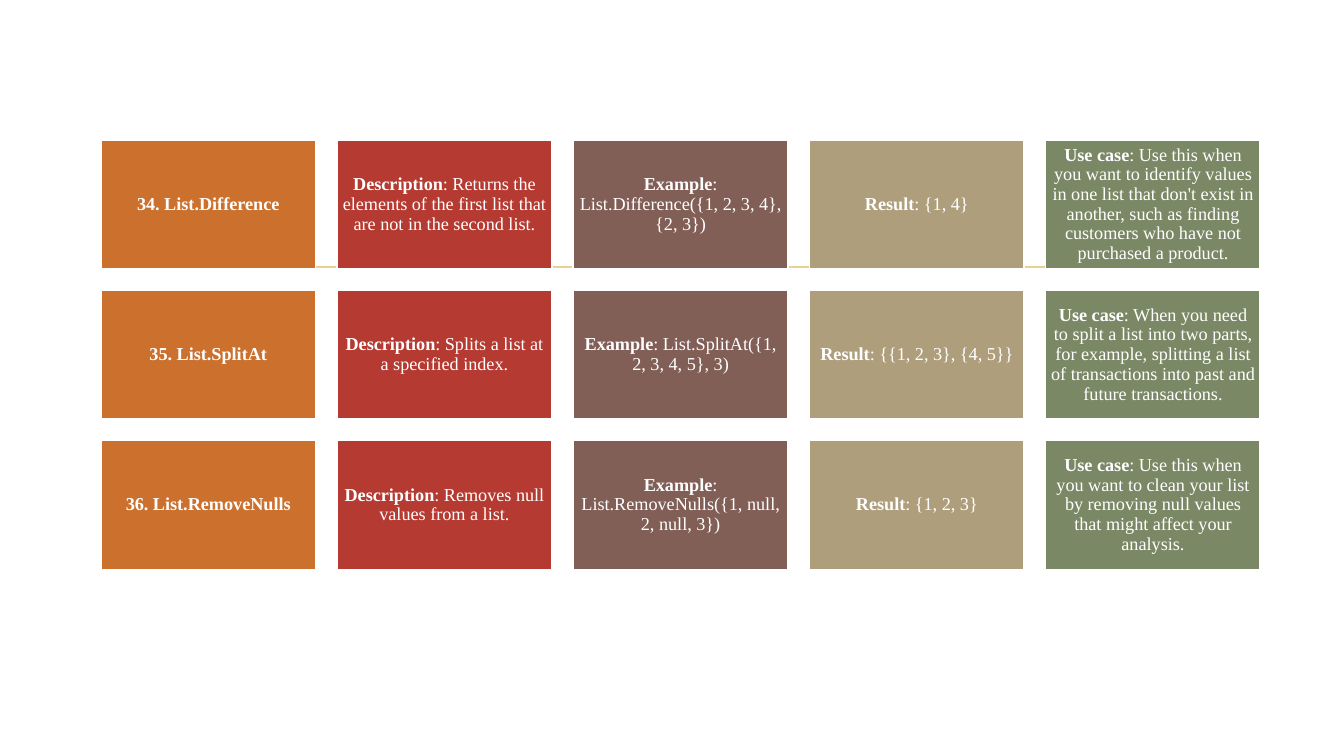
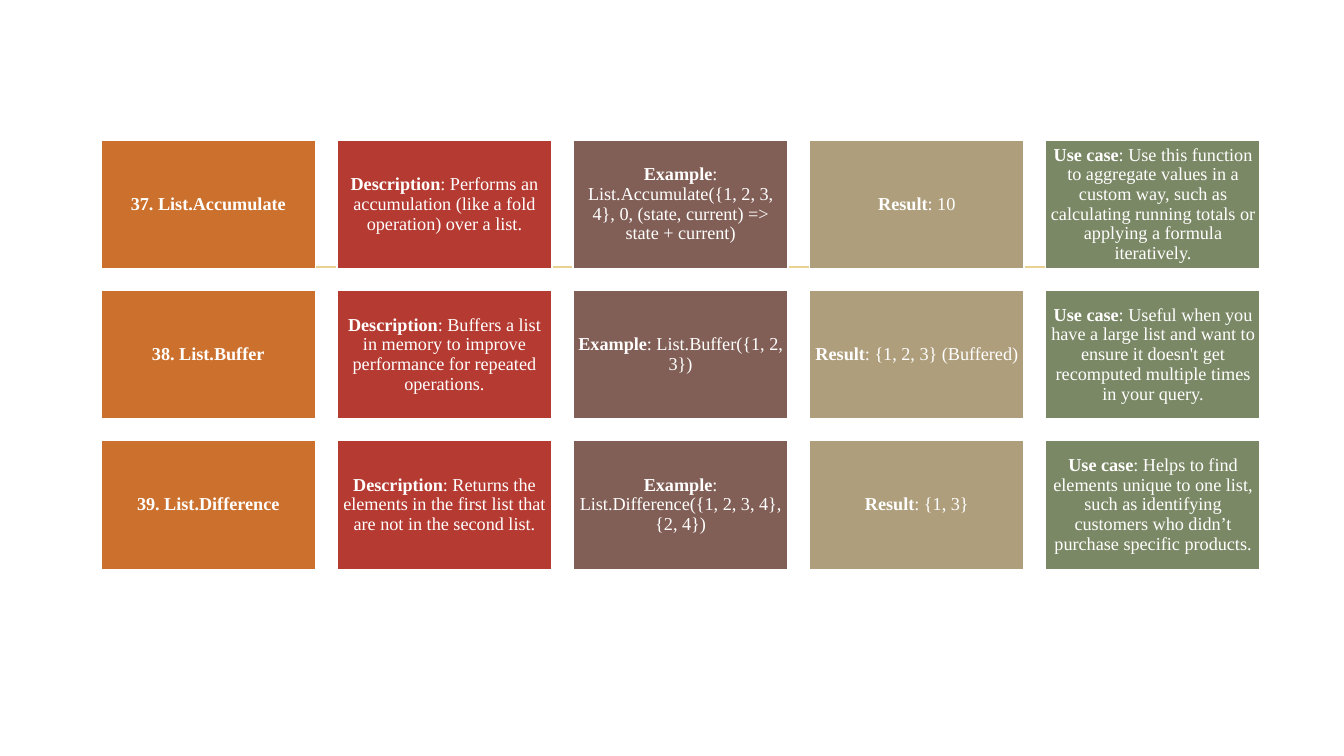
from dataclasses import dataclass

from lxml import etree
from pptx import Presentation
from pptx.dml.color import RGBColor
from pptx.enum.shapes import MSO_CONNECTOR, MSO_SHAPE
from pptx.enum.text import MSO_ANCHOR, PP_ALIGN
from pptx.oxml.ns import qn
from pptx.slide import Slide
from pptx.text.text import TextFrame
from pptx.util import Inches, Pt

RECTANGLE = MSO_SHAPE.RECTANGLE
STRAIGHT = MSO_CONNECTOR.STRAIGHT
CENTER = PP_ALIGN.CENTER
MIDDLE = MSO_ANCHOR.MIDDLE
BLANK_LAYOUT = 6


@dataclass(frozen=True)
class Theme:
    font: str = "Times New Roman"
    size: float = 13
    line_spacing: float = 0.9
    inset: float = 0.05
    border: float = 1.25
    white: str = "FFFFFF"
    rule: str = "E8D191"
    columns: tuple[str, ...] = ("CC702D", "B53A31", "815F56", "AE9E7C", "7B8865")


@dataclass(frozen=True)
class Grid:
    """Cards fill the width; gaps and heights are shares of a card's width."""
    left: float = 1
    top: float = 1.39
    width: float = 11.5
    columns: int = 5
    gap_share: float = 0.1
    height_share: float = 0.6

    @property
    def card_width(self) -> float:
        return self.width / (self.columns + (self.columns - 1) * self.gap_share)

    @property
    def card_height(self) -> float:
        return self.card_width * self.height_share

    def corner(self, row: int, column: int) -> tuple[float, float]:
        gap = self.card_width * self.gap_share
        return (self.left + column * (self.card_width + gap),
                self.top + row * (self.card_height + gap))


@dataclass(frozen=True)
class ListFunction:
    name: str
    description: str
    example: str
    result: str
    use_case: str

    def cards(self) -> tuple[tuple[str, str], ...]:
        """Bold lead and plain rest of each card, from left to right."""
        return ((self.name, ""),
                ("Description", f": {self.description}"),
                ("Example", f": {self.example}"),
                ("Result", f": {self.result}"),
                ("Use case", f": {self.use_case}"))


THEME = Theme()
GRID = Grid()
SLIDE_WIDTH, SLIDE_HEIGHT = 13.33, 7.5
RULE_START, RULE_END, RULE_Y = 1.53, 11.81, 2.65

# One tuple of functions per slide
SLIDES = (
    (
        ListFunction(
            "34. List.Difference",
            "Returns the elements of the first list that are not in the second list.",
            "List.Difference({1, 2, 3, 4}, {2, 3})",
            "{1, 4}",
            "Use this when you want to identify values in one list that don't exist "
            "in another, such as finding customers who have not purchased a product."),
        ListFunction(
            "35. List.SplitAt",
            "Splits a list at a specified index.",
            "List.SplitAt({1, 2, 3, 4, 5}, 3)",
            "{{1, 2, 3}, {4, 5}}",
            "When you need to split a list into two parts, for example, splitting "
            "a list of transactions into past and future transactions."),
        ListFunction(
            "36. List.RemoveNulls",
            "Removes null values from a list.",
            "List.RemoveNulls({1, null, 2, null, 3})",
            "{1, 2, 3}",
            "Use this when you want to clean your list by removing null values "
            "that might affect your analysis."),
    ),
    (
        ListFunction(
            "37. List.Accumulate",
            "Performs an accumulation (like a fold operation) over a list.",
            "List.Accumulate({1, 2, 3, 4}, 0, (state, current) => state + current)",
            "10",
            "Use this function to aggregate values in a custom way, such as "
            "calculating running totals or applying a formula iteratively."),
        ListFunction(
            "38. List.Buffer",
            "Buffers a list in memory to improve performance for repeated operations.",
            "List.Buffer({1, 2, 3})",
            "{1, 2, 3} (Buffered)",
            "Useful when you have a large list and want to ensure it doesn't get "
            "recomputed multiple times in your query."),
        ListFunction(
            "39. List.Difference",
            "Returns the elements in the first list that are not in the second list.",
            "List.Difference({1, 2, 3, 4}, {2, 4})",
            "{1, 3}",
            "Helps to find elements unique to one list, such as identifying "
            "customers who didn’t purchase specific products."),
    ),
)


def add_text(frame: TextFrame, text: str, *, bold: bool = False) -> None:
    """Append a formatted run to the frame's first paragraph."""
    run = frame.paragraphs[0].add_run()
    run.text = text
    run.font.name = THEME.font
    run.font.size = Pt(THEME.size)
    run.font.bold = bold
    run.font.color.rgb = RGBColor.from_string(THEME.white)


def add_rule(slide: Slide) -> None:
    """Thin line that shows between the cards of the first row."""
    rule = slide.shapes.add_connector(
        STRAIGHT, Inches(RULE_START), Inches(RULE_Y), Inches(RULE_END), Inches(RULE_Y))
    rule.line.color.rgb = RGBColor.from_string(THEME.rule)
    rule.line.width = Pt(THEME.border)
    etree.SubElement(rule._element.spPr, qn("a:effectLst"))


def add_card(slide: Slide, row: int, column: int, lead: str, rest: str) -> None:
    left, top = GRID.corner(row, column)
    card = slide.shapes.add_shape(
        RECTANGLE, Inches(left), Inches(top),
        Inches(GRID.card_width), Inches(GRID.card_height))
    card.shadow.inherit = False
    card.fill.solid()
    card.fill.fore_color.rgb = RGBColor.from_string(THEME.columns[column])
    card.line.color.rgb = RGBColor.from_string(THEME.white)
    card.line.width = Pt(THEME.border)

    frame = card.text_frame
    frame.word_wrap = True
    frame.vertical_anchor = MIDDLE
    frame.margin_left = frame.margin_right = Inches(THEME.inset)
    frame.margin_top = frame.margin_bottom = Inches(THEME.inset)
    frame.paragraphs[0].alignment = CENTER
    frame.paragraphs[0].line_spacing = THEME.line_spacing
    add_text(frame, lead, bold=True)
    if rest:
        add_text(frame, rest)


def main() -> None:
    deck = Presentation()
    deck.slide_width, deck.slide_height = Inches(SLIDE_WIDTH), Inches(SLIDE_HEIGHT)
    for functions in SLIDES:
        slide = deck.slides.add_slide(deck.slide_layouts[BLANK_LAYOUT])
        add_rule(slide)
        for row, function in enumerate(functions):
            for column, (lead, rest) in enumerate(function.cards()):
                add_card(slide, row, column, lead, rest)
    deck.save("out.pptx")


if __name__ == "__main__":
    main()
